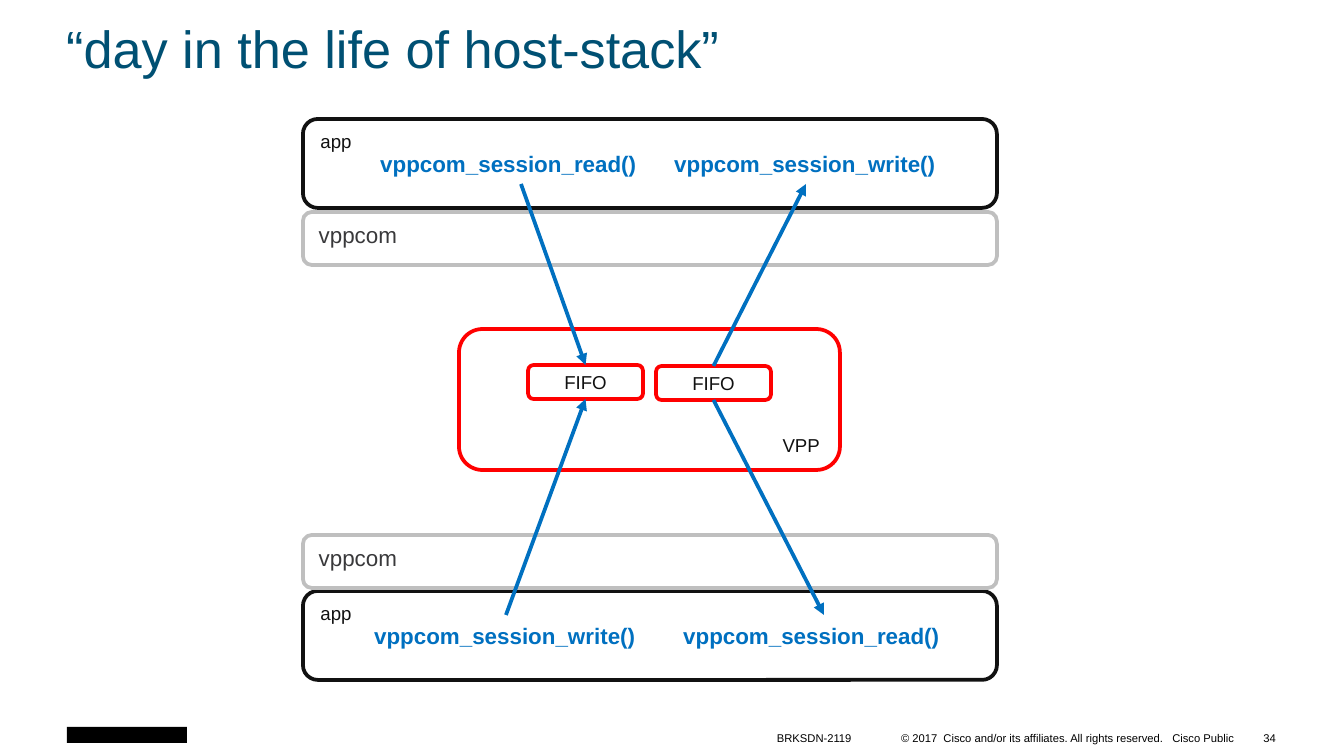
"""Build the host-stack slide: two apps joined through FIFOs in VPP."""
from lxml.etree import SubElement as Sub
from pptx import Presentation
from pptx.dml.color import RGBColor as Rgb
from pptx.enum.shapes import MSO_CONNECTOR as Link, MSO_SHAPE as Kind
from pptx.enum.text import MSO_ANCHOR as Anchor, PP_ALIGN as Align
from pptx.oxml.ns import qn
from pptx.util import Pt

PX = 914400 / 134.4
HUES = {
    "title": "005073", "ink": "111111", "text": "39393B", "gray": "BFBFBF",
    "red": "FF0000", "blue": "0070C0", "white": "FFFFFF", "black": "000000",
}
HUES = {name: Rgb.from_string(code) for name, code in HUES.items()}


def write(shape, text, size, hue, anchor=Anchor.TOP, align=Align.LEFT, bold=False, pad=None):
    frame = shape.text_frame
    form = {"word_wrap": True, "vertical_anchor": anchor}
    if pad:
        across, down = (round(n * PX) for n in pad)
        form |= {"margin_left": across, "margin_right": across,
                 "margin_top": down, "margin_bottom": down}
    for key, value in form.items():
        setattr(frame, key, value)
    para = frame.paragraphs[0]
    para.text, para.alignment = text, align
    for key, value in {"name": "Arial", "size": Pt(size), "bold": bold}.items():
        setattr(para.font, key, value)
    para.font.color.rgb = HUES[hue]
    return para


def box(rect, edge, fill="white", kind=Kind.ROUNDED_RECTANGLE):
    shape = slide.shapes.add_shape(kind, *(round(n * PX) for n in rect))
    shape.shadow.inherit = False
    if fill:
        shape.fill.solid()
        shape.fill.fore_color.rgb = HUES[fill]
    else:
        shape.fill.background()
    if edge:
        shape.line.color.rgb = HUES[edge]
        shape.line.width = Pt(2)
    else:
        shape.line.fill.background()
    return shape


deck = Presentation()
deck.slide_width, deck.slide_height = round(1344 * PX), round(756 * PX)
slide = deck.slides.add_slide(deck.slide_layouts[6])

box((67, 727, 120, 16), None, "black", Kind.RECTANGLE)

for top, lib in ((119, 212), (591, 535)):
    write(box((303, top, 694, 89), "ink"), "app", 10, "ink")
    write(box((303, lib, 694, 53), "gray", None), "vppcom", 12, "text")

write(box((459, 329, 381, 141), "red"), "VPP", 10, "ink", Anchor.BOTTOM, Align.RIGHT)
fifos = []
for left, top in ((528, 365), (656, 366)):
    fifo = box((left, top, 115, 34), "red")
    write(fifo, "FIFO", 10, "ink", Anchor.MIDDLE, Align.CENTER)
    fifos.append(fifo)

call = {"size": 12, "hue": "blue", "bold": True}
foot = {"size": 6, "hue": "black", "anchor": Anchor.BOTTOM, "pad": (9, 4)}
labels = (
    ("“day in the life of host-stack”", (53, 22, 1251, 64),
     {"size": 28, "hue": "title", "anchor": Anchor.BOTTOM}),
    ("vppcom_session_read()", (367, 144, 309, 40), call),
    ("vppcom_session_write()", (661, 144, 292, 40), call),
    ("vppcom_session_write()", (361, 616, 292, 40), call),
    ("vppcom_session_read()", (670, 616, 309, 40), call),
    ("BRKSDN-2119", (768, 726, 105, 23), foot),
    ("© 2017  Cisco and/or its affiliates. All rights reserved.   Cisco Public",
     (880, 726, 363, 23), foot | {"align": Align.RIGHT}),
    ("34", (1237, 718, 52, 40),
     {"size": 6, "hue": "black", "anchor": Anchor.MIDDLE, "align": Align.RIGHT}),
)
for text, rect, form in labels:
    label = slide.shapes.add_textbox(*(round(n * PX) for n in rect))
    para = write(label, text, **form)
    if form["size"] == 28:
        para.line_spacing = 0.9

flows = ((0, 2, 506, 615, "head"), (0, 0, 521, 184, "head"),
         (1, 2, 824, 615, "tail"), (1, 0, 806, 184, "tail"))
for index, side, x, y, tip in flows:
    spot = round(x * PX), round(y * PX)
    arrow = slide.shapes.add_connector(Link.STRAIGHT, *spot, *spot)
    arrow.begin_connect(fifos[index], side)
    arrow.line.color.rgb = HUES["blue"]
    arrow.line.width = Pt(2)
    Sub(arrow.line._get_or_add_ln(), qn(f"a:{tip}End"), type="triangle")
    Sub(arrow._element.spPr, qn("a:effectLst"))

deck.save("out.pptx")
